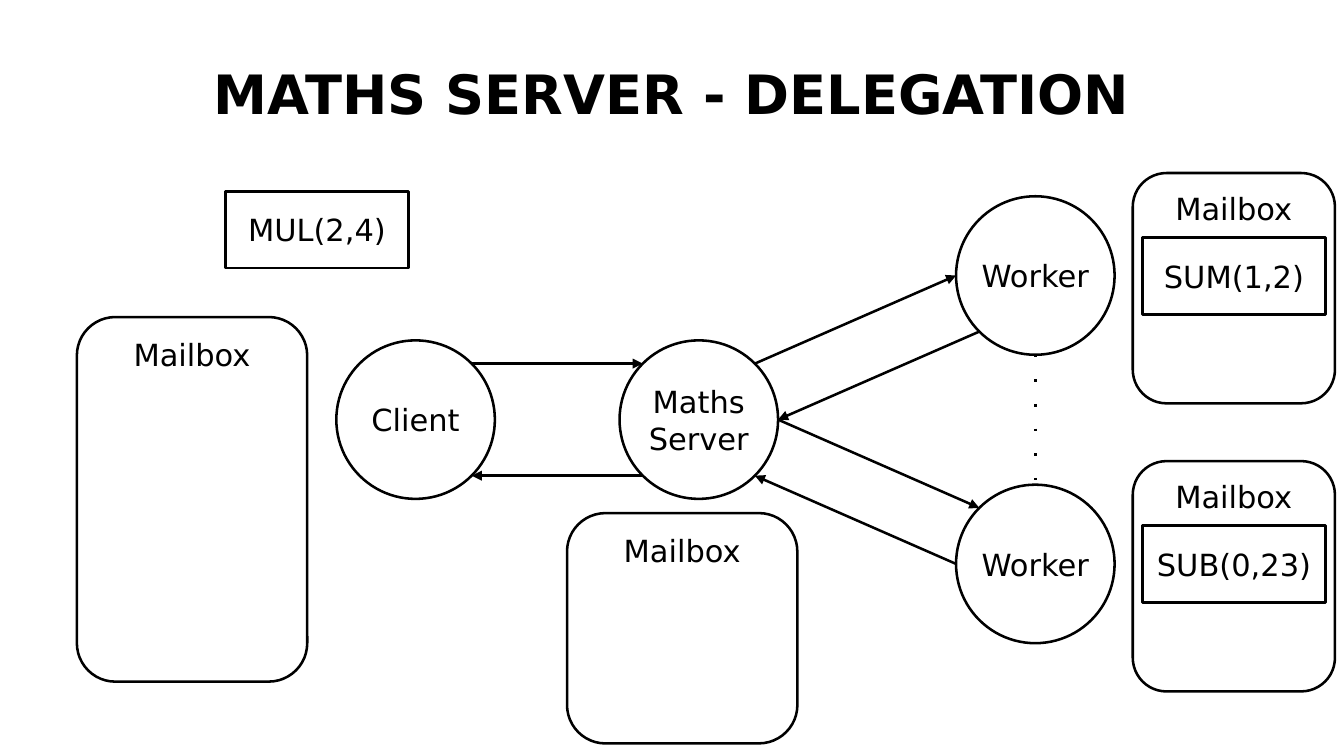
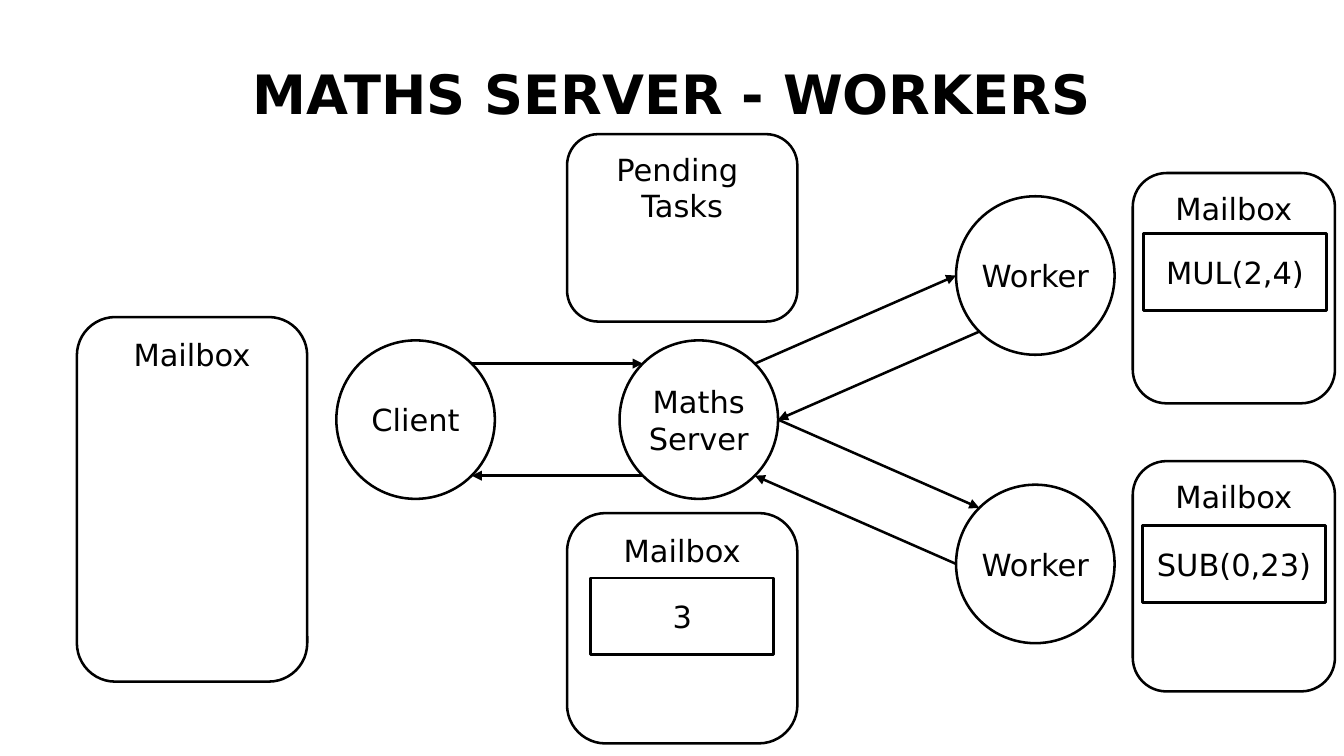
from math import cos, radians, sin

from lxml import etree
from pptx import Presentation
from pptx.dml.color import RGBColor
from pptx.enum.shapes import MSO_CONNECTOR, MSO_SHAPE
from pptx.enum.text import MSO_ANCHOR, PP_ALIGN
from pptx.oxml.ns import qn
from pptx.util import Pt

BLACK = RGBColor(0x00, 0x00, 0x00)
WHITE = RGBColor(0xFF, 0xFF, 0xFF)
FONT = "DejaVu Sans"
RECT = MSO_SHAPE.RECTANGLE
ROUND = MSO_SHAPE.ROUNDED_RECTANGLE
OVAL = MSO_SHAPE.OVAL
STRAIGHT = MSO_CONNECTOR.STRAIGHT
TOP = MSO_ANCHOR.TOP
MIDDLE = MSO_ANCHOR.MIDDLE
CENTER = PP_ALIGN.CENTER

WIDTH, HEIGHT = 793.5, 446.4
RADIUS = 46.8
LINE = 1.5
CLIENT = (245.4, 247.8)
SERVER = (412.6, 247.8)
WORKER_1 = (611.3, 162.7)
WORKER_2 = (611.3, 333)
RIGHT, LOWER_RIGHT, DOWN, LOWER_LEFT = 0, 45, 90, 135
LEFT, UPPER_LEFT, UP, UPPER_RIGHT = 180, 225, 270, 315

NODES = [("Client", CLIENT), ("Maths\nServer", SERVER),
         ("Worker", WORKER_1), ("Worker", WORKER_2)]
MESSAGES = [
    (CLIENT, UPPER_RIGHT, SERVER, UPPER_LEFT),
    (SERVER, LOWER_LEFT, CLIENT, LOWER_RIGHT),
    (SERVER, UPPER_RIGHT, WORKER_1, LEFT),
    (WORKER_1, LOWER_LEFT, SERVER, RIGHT),
    (SERVER, RIGHT, WORKER_2, UPPER_LEFT),
    (WORKER_2, LEFT, SERVER, LOWER_RIGHT),
]
MAILBOXES = [(45.4, 187.2, 136, 215.3), (334.8, 303, 136, 136),
             (668.8, 102.2, 119.4, 136), (668.8, 272.3, 119.4, 136)]


def site(centre, angle):
    """Return the point on a node's rim at an angle in degrees, clockwise."""
    a = radians(angle)
    return centre[0] + RADIUS * cos(a), centre[1] + RADIUS * sin(a)


class Deck:
    """Hold the shared style and the slide being drawn."""

    def __init__(self):
        self.prs = Presentation()
        self.prs.slide_width, self.prs.slide_height = Pt(WIDTH), Pt(HEIGHT)
        self.s = None

    def add_slide(self, title):
        self.s = self.prs.slides.add_slide(self.prs.slide_layouts[6])
        box = self.s.shapes.add_textbox(Pt(39.6), Pt(18), Pt(714.2), Pt(74.2))
        self.set_text(box.text_frame, title, 32, MIDDLE, (0, 0), True)

    def set_text(self, tf, text, size, anchor, margins, title=False):
        tf.text = text
        tf.word_wrap = title
        tf.vertical_anchor = anchor
        tf.margin_left = tf.margin_right = Pt(margins[0])
        tf.margin_top = tf.margin_bottom = Pt(margins[1])
        for p in tf.paragraphs:
            p.alignment = CENTER
            for r in p.runs:
                r.font.name, r.font.size = FONT, Pt(size)
                r.font.bold = title
                r.font.color.rgb = BLACK

    def shape(self, kind, text, x, y, w, h, anchor=MIDDLE):
        sp = self.s.shapes.add_shape(kind, Pt(x), Pt(y), Pt(w), Pt(h))
        sp.shadow.inherit = False
        sp.fill.solid()
        sp.fill.fore_color.rgb = WHITE
        sp.line.color.rgb = BLACK
        sp.line.width = Pt(LINE)
        self.set_text(sp.text_frame, text, 18, anchor, (7.9, 4.3))
        return sp

    def node(self, text, centre):
        x, y = centre
        self.shape(OVAL, text, x - RADIUS, y - RADIUS, 2 * RADIUS, 2 * RADIUS)

    def store(self, text, x, y, w, h):
        sp = self.shape(ROUND, text, x, y, w, h, TOP)
        sp.adjustments[0] = 0.167

    def task(self, text, x, y):
        self.shape(RECT, text, x, y, 108, 45.4)

    def line(self, start, end):
        c = self.s.shapes.add_connector(STRAIGHT, *map(Pt, start + end))
        c.line.color.rgb = BLACK
        c.line.width = Pt(LINE)
        ln = c.line.fill._xPr
        etree.SubElement(ln.getparent(), qn("a:effectLst"))
        return ln

    def arrow(self, start, end):
        ln = self.line(start, end)
        etree.SubElement(ln, qn("a:tailEnd"), type="triangle")

    def dots(self, start, end):
        dash = etree.SubElement(self.line(start, end), qn("a:custDash"))
        etree.SubElement(dash, qn("a:ds"), d="100000", sp="867000")

    def server_diagram(self):
        for text, centre in NODES:
            self.node(text, centre)
        for sender, out, receiver, into in MESSAGES:
            self.arrow(site(sender, out), site(receiver, into))
        for frame in MAILBOXES:
            self.store("Mailbox", *frame)
        self.task("SUB(0,23)", 674.6, 310.4)


def main():
    deck = Deck()

    deck.add_slide("MATHS SERVER - DELEGATION")
    deck.server_diagram()
    deck.dots(site(WORKER_1, DOWN), site(WORKER_2, UP))
    deck.task("MUL(2,4)", 133.2, 113)
    deck.task("SUM(1,2)", 674.6, 140.2)

    deck.add_slide("MATHS SERVER - WORKERS")
    deck.server_diagram()
    deck.store("Pending \nTasks", 334.8, 79.2, 136, 110.7)
    deck.task("3", 348.8, 341.2)
    deck.task("MUL(2,4)", 675.2, 138)

    deck.prs.save("out.pptx")


if __name__ == "__main__":
    main()
